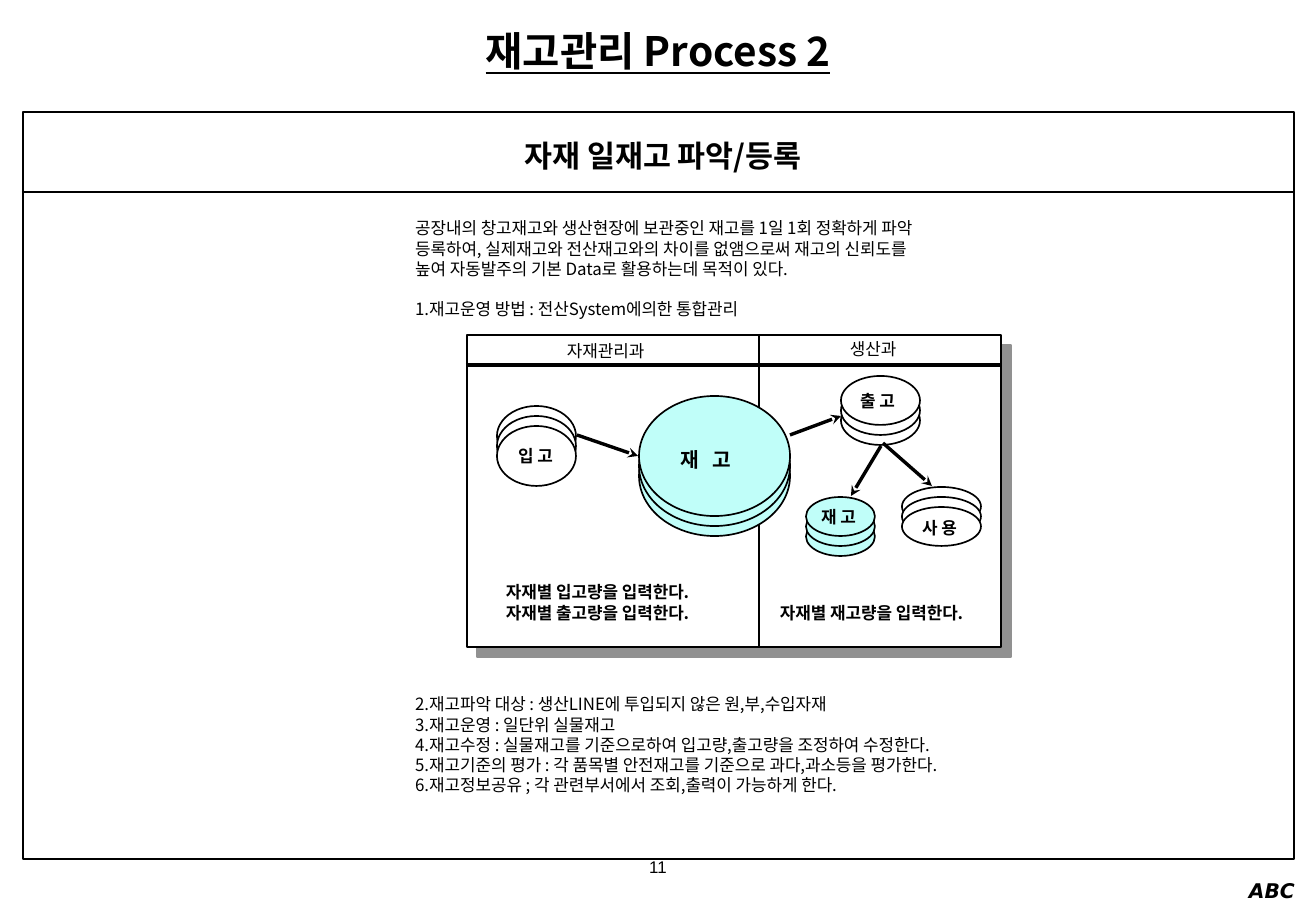
from lxml import etree
from pptx import Presentation
from pptx import util as u
from pptx.dml.color import RGBColor
from pptx.enum import shapes, text
from pptx.oxml.ns import qn

PX = 7526
SLIDE = (1316, 911)
KOREAN = "Noto Sans CJK KR"
BLACK, WHITE, AQUA, GREY = "000000", "FFFFFF", "C0FEF9", "919191"

TITLE = ["재고관리 Process 2"]
PURPOSE = [
    "공장내의 창고재고와 생산현장에 보관중인 재고를 1일 1회 정확하게 파악",
    "등록하여, 실제재고와 전산재고와의 차이를 없앰으로써 재고의 신뢰도를",
    "높여 자동발주의 기본 Data로 활용하는데 목적이 있다.",
    "1.재고운영 방법 : 전산System에의한 통합관리",
]
RULES = [
    "2.재고파악 대상 : 생산LINE에 투입되지 않은 원,부,수입자재",
    "3.재고운영 : 일단위 실물재고",
    "4.재고수정 : 실물재고를 기준으로하여 입고량,출고량을 조정하여 수정한다.",
    "5.재고기준의 평가 : 각 품목별 안전재고를 기준으로 과다,과소등을 평가한다.",
    "6.재고정보공유 ; 각 관련부서에서 조회,출력이 가능하게 한다.",
]
FRAME = (23, 112, 1271, 747)
PANEL = (467, 335, 534, 312)
RULE_LINES = [((22, 192), (1294, 192), 1), ((466, 365), (1002, 365), 2), ((759, 334), (759, 648), 1)]
ARROWS = [((577, 435), (638, 456)), ((790, 435), (841, 416)),
          ((881, 446), (851, 496)), ((883, 443), (932, 486))]
STACK_STEP = 10
STACKS = [
    ("입 고", 10, (497, 406, 79, 60), 1, WHITE, (-1, 0)),
    ("재   고", 12, (639, 416, 151, 120), -1, AQUA, (-9, 3)),
    ("출 고", 10, (841, 396, 79, 49), -1, WHITE, (-3, 0)),
    ("재 고", 10, (806, 517, 69, 39), -1, AQUA, (-2, 0)),
    ("사 용", 10, (902, 487, 79, 39), 1, WHITE, (-2, 1)),
]
NOTES = [
    (["자재 일재고 파악/등록"], (30, 131, 1266, 49), 18, True, True),
    (["자재관리과"], (555, 335, 110, 33), 10, False, False),
    (["생산과"], (838, 333, 76, 33), 10, False, False),
    (["자재별 입고량을 입력한다.", "자재별 출고량을 입력한다."], (494, 576, 236, 52), 10, True, False),
    (["자재별 재고량을 입력한다."], (768, 597, 236, 33), 10, True, False),
]


def px(values):
    return [u.Emu(round(v * PX)) for v in values]


def rgb(value):
    return RGBColor.from_string(value)


def write(frame, lines, size, bold=False, centred=False, face=KOREAN, wrap=True):
    frame.word_wrap = wrap
    frame.auto_size = text.MSO_AUTO_SIZE.NONE
    for number, line in enumerate(lines):
        paragraph = frame.paragraphs[0] if number == 0 else frame.add_paragraph()
        paragraph.alignment = text.PP_ALIGN.CENTER if centred else text.PP_ALIGN.LEFT
        paragraph.line_spacing = u.Pt(size * 1.2)
        paragraph.space_before = paragraph.space_after = u.Pt(0)
        run = paragraph.add_run()
        run.text = line
        run.font.name, run.font.size, run.font.bold = face, u.Pt(size), bold
        run.font.color.rgb = rgb(BLACK)
        etree.SubElement(run.font._element, qn("a:ea")).set("typeface", face)
    return frame


def fill_placeholder(holder, box, lines, size, **style):
    holder.left, holder.top, holder.width, holder.height = px(box)
    holder.text_frame.vertical_anchor = text.MSO_ANCHOR.TOP
    write(holder.text_frame, lines, size, **style)
    for paragraph in holder.text_frame.paragraphs:
        settings = paragraph._p.get_or_add_pPr()
        settings.set("marL", "0")
        settings.set("indent", "0")
        etree.SubElement(settings, qn("a:buNone"))
    return holder.text_frame


def add_note(slide, box, lines, size, **style):
    return write(slide.shapes.add_textbox(*px(box)).text_frame, lines, size, **style)


def add_block(slide, kind, box, fill=None):
    block = slide.shapes.add_shape(kind, *px(box))
    block.shadow.inherit = False
    if fill:
        block.fill.solid()
        block.fill.fore_color.rgb = rgb(fill)
    else:
        block.fill.background()
    block.line.color.rgb = rgb(BLACK)
    block.line.width = u.Pt(1)
    return block


def add_line(slide, start, end, width, arrow=False):
    line = slide.shapes.add_connector(shapes.MSO_CONNECTOR.STRAIGHT, *px(start + end))
    line.line.color.rgb = rgb(BLACK)
    line.line.width = u.Pt(width)
    if arrow:
        etree.SubElement(line.line._get_or_add_ln(), qn("a:tailEnd")).set("type", "stealth")
    etree.SubElement(line._element.spPr, qn("a:effectLst"))


def add_drop_shadow(block):
    effects = block._element.spPr.find(qn("a:effectLst"))
    shadow = etree.SubElement(effects, qn("a:outerShdw"), dist="107950", dir="2700000",
                              algn="ctr", rotWithShape="0")
    etree.SubElement(shadow, qn("a:srgbClr")).set("val", GREY)


def add_stack(slide, label, size, back, direction, fill, shift):
    left, top, width, height = back
    for level in range(3):
        box = (left, top + direction * STACK_STEP * level, width, height)
        disc = add_block(slide, shapes.MSO_SHAPE.OVAL, box, fill)
    frame = write(disc.text_frame, [label], size, bold=True, centred=True, wrap=False)
    frame.vertical_anchor = text.MSO_ANCHOR.MIDDLE
    across, down = shift
    frame.margin_left, frame.margin_top, frame.margin_right, frame.margin_bottom = px(
        (0, 2 * down, -2 * across, 0))


def main():
    """Build the daily stock check slide and save it."""
    deck = Presentation()
    deck.slide_width, deck.slide_height = px(SLIDE)
    slide = deck.slides.add_slide(deck.slide_layouts[3])
    title, purpose, rules = slide.placeholders

    heading = fill_placeholder(title, (0, 20, 1316, 61), TITLE, 24, bold=True, centred=True)
    heading.paragraphs[0].runs[0].font.underline = True
    aim = fill_placeholder(purpose, (403, 212, 598, 113), PURPOSE, 10)
    aim.paragraphs[-1].space_before = u.Pt(12)
    fill_placeholder(rules, (403, 688, 640, 134), RULES, 10)

    add_block(slide, shapes.MSO_SHAPE.RECTANGLE, FRAME)
    add_drop_shadow(add_block(slide, shapes.MSO_SHAPE.RECTANGLE, PANEL, WHITE))
    for start, end, width in RULE_LINES:
        add_line(slide, start, end, width)
    for stack in STACKS:
        add_stack(slide, *stack)
    for start, end in ARROWS:
        add_line(slide, start, end, 2, arrow=True)
    for lines, box, size, bold, centred in NOTES:
        add_note(slide, box, lines, size, bold=bold, centred=centred)

    add_note(slide, (547, 851, 222, 40), ["11"], 10, centred=True, face="Arial")
    company = add_note(slide, (1237, 872, 75, 30), ["ABC"], 12, bold=True, face="DejaVu Sans")
    company.paragraphs[0].runs[0].font.italic = True
    deck.save("out.pptx")


if __name__ == "__main__":
    main()
